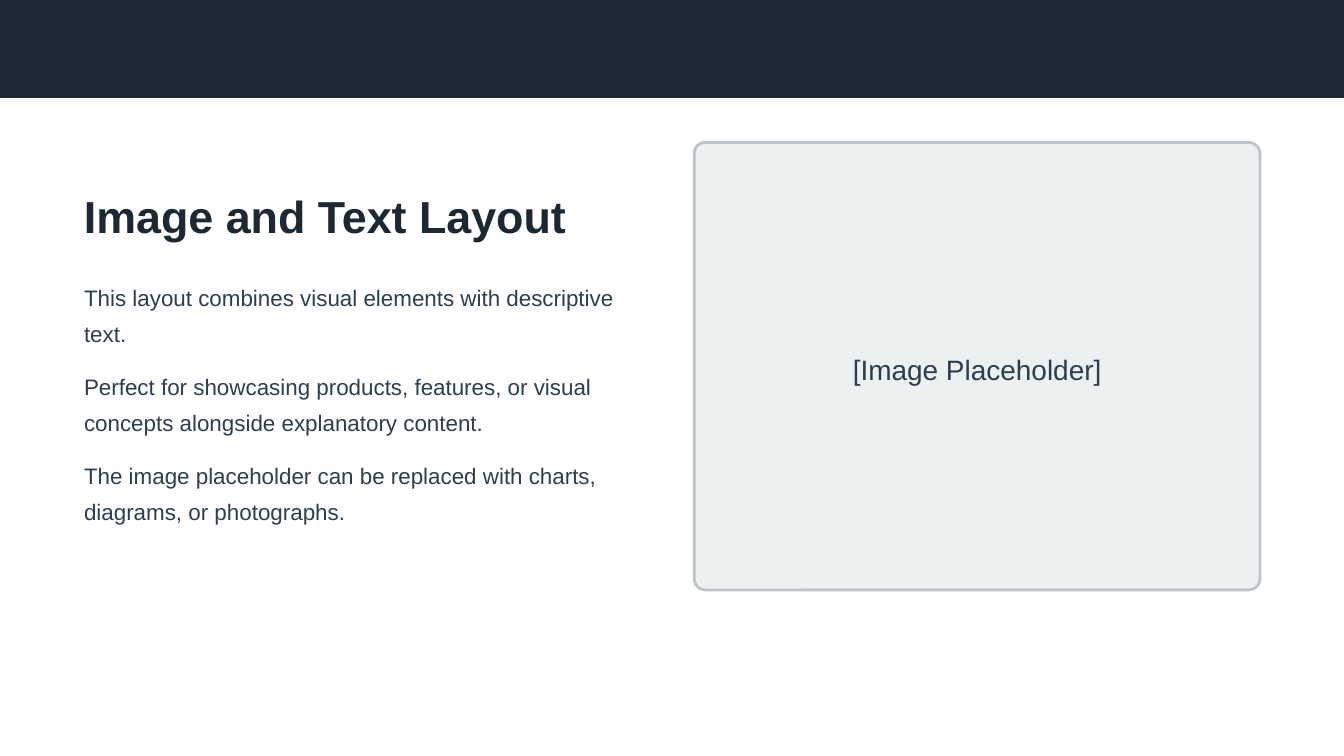
from dataclasses import dataclass

from pptx import Presentation
from pptx.dml.color import RGBColor
from pptx.enum.shapes import MSO_SHAPE as Shape
from pptx.util import Inches, Pt


@dataclass(frozen=True)
class Theme:
    """Colours, font and type sizes of the slide."""
    font: str = "Arial"
    navy: str = "1C2833"
    slate: str = "2C3E50"
    panel: str = "ECF0F1"
    border: str = "BDC3C7"
    title_size: int = 24
    body_size: int = 12
    label_size: int = 15


@dataclass(frozen=True)
class Box:
    """A rectangle in inches."""
    left: float
    top: float
    width: float
    height: float

    def inner(self, left, top, width, height):
        """Return a box placed relative to this one."""
        return Box(self.left + left, self.top + top, width, height)

    def lengths(self):
        """Return the rectangle as slide lengths."""
        return [Inches(v) for v in (self.left, self.top, self.width, self.height)]


THEME = Theme()
PAGE_WIDTH = 10
PAGE_HEIGHT = PAGE_WIDTH * 9 / 16
MARGIN = PAGE_WIDTH / 16
TITLE = "Image and Text Layout"
PARAGRAPHS = (
    "This layout combines visual elements with descriptive text.",
    "Perfect for showcasing products, features, or visual concepts alongside explanatory content.",
    "The image placeholder can be replaced with charts, diagrams, or photographs.",
)
LABEL = "[Image Placeholder]"


def add_panel(page, kind, box, fill):
    """Add a flat filled shape without a line."""
    panel = page.shapes.add_shape(kind, *box.lengths())
    panel.shadow.inherit = False
    panel.fill.solid()
    panel.fill.fore_color.rgb = RGBColor.from_string(fill)
    panel.line.fill.background()
    return panel


def add_text(page, box, text, size, color, leading, before=0, after=0, bold=False):
    """Add a wrapped one-paragraph text box without margins."""
    frame = page.shapes.add_textbox(*box.lengths()).text_frame
    frame.word_wrap = True
    frame.margin_left = frame.margin_top = frame.margin_right = frame.margin_bottom = 0
    frame.text = text
    para = frame.paragraphs[0]
    para.line_spacing = Pt(leading)
    para.space_before, para.space_after = Pt(before), Pt(after)
    font = para.runs[0].font
    font.name, font.size, font.bold = THEME.font, Pt(size), bold
    font.color.rgb = RGBColor.from_string(color)


def add_header(page, box):
    """Draw the dark band across the top."""
    add_panel(page, Shape.RECTANGLE, box, THEME.navy)


def add_copy(page, box):
    """Place the title and the evenly spaced paragraphs below it."""
    add_text(page, box.inner(0, 0, 3.67, 0.37), TITLE, THEME.title_size,
             THEME.navy, 26.7, after=18, bold=True)
    for index, text in enumerate(PARAGRAPHS):
        add_text(page, box.inner(0, 0.62 + 0.66 * index, box.width, 0.53), text,
                 THEME.body_size, THEME.slate, 19.2, after=9)


def add_image_area(page, box):
    """Draw the rounded image panel and its centred label."""
    panel = add_panel(page, Shape.ROUNDED_RECTANGLE, box, THEME.panel)
    panel.adjustments[0] = 0.025
    panel.line.color.rgb = RGBColor.from_string(THEME.border)
    panel.line.width = Pt(1.5)
    width, height = 1.89, 0.29
    label_box = box.inner((box.width - width) / 2 + 0.02, (box.height - height) / 2,
                          width, height)
    add_text(page, label_box, LABEL, THEME.label_size, THEME.slate, 21,
             before=3, after=3)


def main():
    """Build and save the deck."""
    deck = Presentation()
    deck.slide_width, deck.slide_height = Inches(PAGE_WIDTH), Inches(PAGE_HEIGHT)
    page = deck.slides.add_slide(deck.slide_layouts[6])
    add_header(page, Box(0, 0, PAGE_WIDTH, 0.73))
    add_copy(page, Box(MARGIN, 1.43, 4.29, 2.47))
    image_width = 4.21
    add_image_area(page, Box(PAGE_WIDTH - MARGIN - image_width, 1.06, image_width, 3.33))
    deck.save("out.pptx")


if __name__ == "__main__":
    main()
